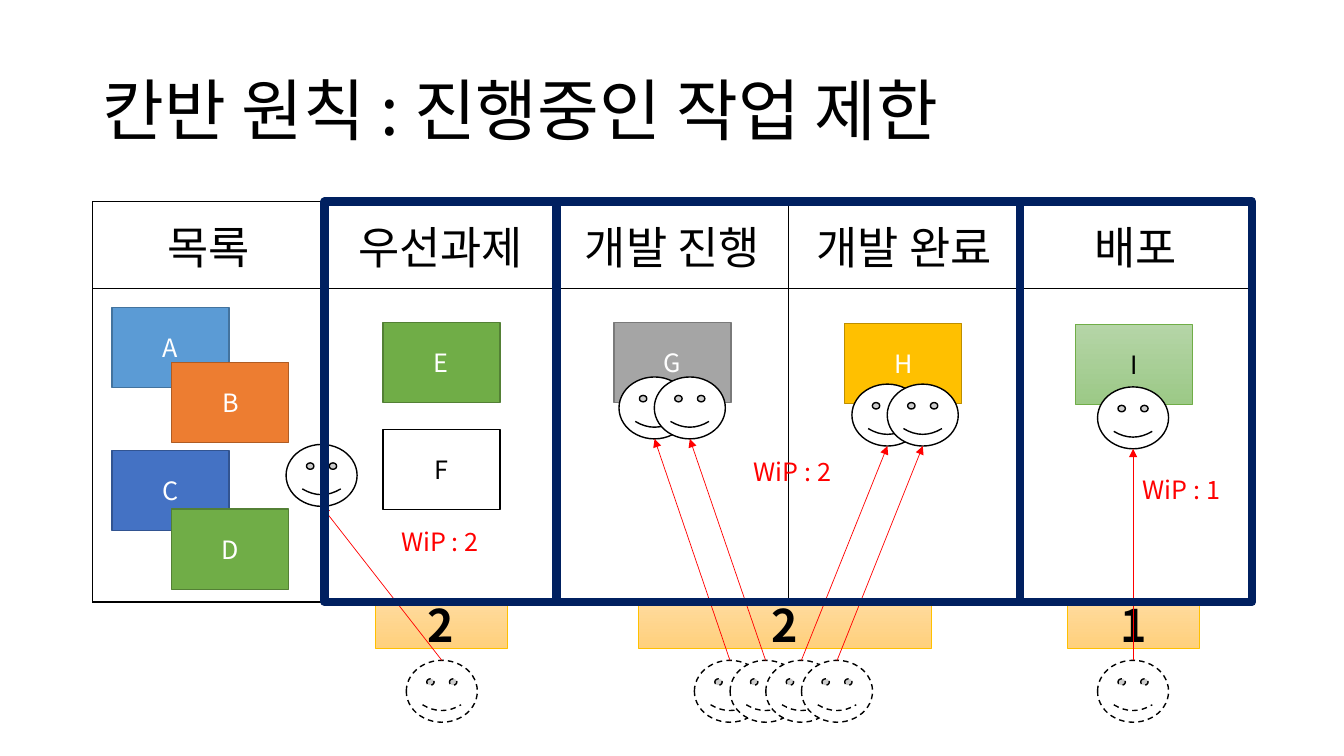
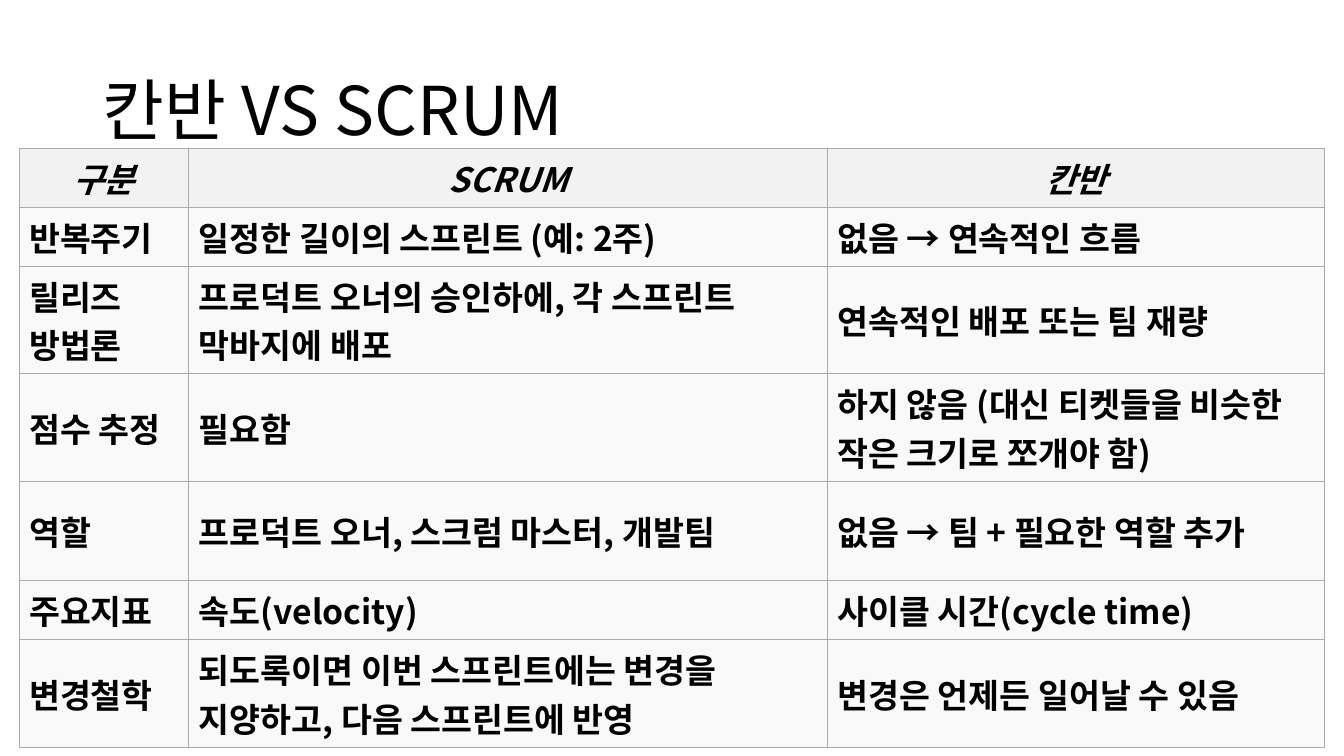
from lxml import etree
from pptx import Presentation
from pptx import util as u
from pptx.dml.color import RGBColor
from pptx.enum import dml, shapes, text
from pptx.oxml.ns import qn

FONT = "Noto Sans CJK KR"
BLACK, WHITE, RED, NAVY = "000000", "FFFFFF", "FF0000", "002060"
LEFT, WIDE, TOP = 2.34, 29.21, 5.08
COL, HEAD, BODY = WIDE / 5, 2.19, 7.9
CARD_W, CARD_H = 2.95, 2.02
FACE_W, FACE_H = 1.79, 1.56
MID, CENTER = text.MSO_ANCHOR.MIDDLE, text.PP_ALIGN.CENTER


def rgb(code):
    return RGBColor.from_string(code)


def style(para, size, color=BLACK, align=None, bold=False, slant=False):
    """Format a paragraph, giving Latin and Korean letters the same font."""
    para.alignment = align
    font = para.font
    font.size, font.name, font.bold, font.italic = u.Pt(size), FONT, bold, slant
    font.color.rgb = rgb(color)
    props = para._p.pPr.find(qn("a:defRPr"))
    etree.SubElement(props, qn("a:ea"), typeface=FONT)


prs = Presentation()
prs.slide_width, prs.slide_height = u.Cm(33.87), u.Cm(19.05)

# Slides and titles
slides = []
for name in ("칸반 원칙 : 진행중인 작업 제한", "칸반 VS SCRUM"):
    slide = prs.slides.add_slide(prs.slide_layouts[5])
    title = slide.shapes.title
    title.left, title.top = u.Cm(LEFT), u.Cm(1.02)
    title.width, title.height = u.Cm(WIDE), u.Cm(3.68)
    frame = title.text_frame
    frame.text = name
    frame.auto_size = text.MSO_AUTO_SIZE.NONE
    frame.vertical_anchor = MID
    frame.paragraphs[0].line_spacing = 0.9
    style(frame.paragraphs[0], 48, align=text.PP_ALIGN.LEFT)
    slides.append(slide)
board, versus = slides

# Tables: the kanban board and the comparison
stages = ["목록", "우선과제", "개발 진행", "개발 완료", "배포"]
terms = [
    ["구분", "SCRUM", "칸반"],
    ["반복주기", "일정한 길이의 스프린트 (예: 2주)", "없음 → 연속적인 흐름"],
    ["릴리즈\n방법론", "프로덕트 오너의 승인하에, 각 스프린트 막바지에 배포",
     "연속적인 배포 또는 팀 재량"],
    ["점수 추정", "필요함", "하지 않음 (대신 티켓들을 비슷한 작은 크기로 쪼개야 함)"],
    ["역할", "프로덕트 오너, 스크럼 마스터, 개발팀", "없음 → 팀 + 필요한 역할 추가"],
    ["주요지표", "속도(velocity)", "사이클 시간(cycle time)"],
    ["변경철학", "되도록이면 이번 스프린트에는 변경을 지양하고, 다음 스프린트에 반영",
     "변경은 언제든 일어날 수 있음"],
]
tables = [
    # slide, left, top, columns, rows, cells, size, border, points, fills, strong
    (board, LEFT, TOP, [COL] * 5, [HEAD, BODY], [stages, [""] * 5],
     32, BLACK, 1, (None, None), False),
    (versus, 0.48, 3.74, [4.28, 16.09, 12.53],
     [1.42, 1.42, 2.51, 2.51, 2.51, 1.42, 2.51], terms,
     24, "AAAAAA", 0.75, ("F2F2F2", "F9F9F9"), True),
]
for slide, x, y, cols, rows, cells, size, edge, pts, fills, strong in tables:
    table = slide.shapes.add_table(
        len(rows), len(cols), u.Cm(x), u.Cm(y),
        u.Cm(sum(cols)), u.Cm(sum(rows))).table
    table.first_row = table.horz_banding = False
    for col, width in zip(table.columns, cols):
        col.width = u.Cm(width)
    for r, height in enumerate(rows):
        table.rows[r].height = u.Cm(height)
        top = r == 0
        for c, words in enumerate(cells[r]):
            cell = table.cell(r, c)
            cell.vertical_anchor = MID
            props = cell._tc.get_or_add_tcPr()
            for side in ("lnL", "lnR", "lnT", "lnB"):
                line = etree.SubElement(props, qn(f"a:{side}"), w=str(u.Pt(pts)))
                fill = etree.SubElement(line, qn("a:solidFill"))
                etree.SubElement(fill, qn("a:srgbClr"), val=edge)
            shade = fills[0] if top else fills[1]
            if shade:
                cell.fill.solid()
                cell.fill.fore_color.rgb = rgb(shade)
            else:
                cell.fill.background()
            if words:
                cell.text = words
                for para in cell.text_frame.paragraphs:
                    style(para, size, align=CENTER if top else None,
                          bold=strong, slant=strong and top)


def draw(kind, x, y, w, h, fill, edge, pts, words="", size=18, color=WHITE, bold=False):
    """Add a shape to the board; a pair of fill colours makes a gradient."""
    shape = board.shapes.add_shape(kind, u.Cm(x), u.Cm(y), u.Cm(w), u.Cm(h))
    shape.shadow.inherit = False
    if fill is None:
        shape.fill.background()
    elif isinstance(fill, tuple):
        shape.fill.gradient()
        shape.fill.gradient_angle = 270
        for stop, code in zip(shape.fill.gradient_stops, fill):
            stop.color.rgb = rgb(code)
    else:
        shape.fill.solid()
        shape.fill.fore_color.rgb = rgb(fill)
    shape.line.color.rgb = rgb(edge)
    shape.line.width = u.Pt(pts)
    if words:
        shape.text_frame.text = words
        shape.text_frame.vertical_anchor = MID
        style(shape.text_frame.paragraphs[0], size, color, CENTER, bold)
    return shape


RECT, FACE = shapes.MSO_SHAPE.RECTANGLE, shapes.MSO_SHAPE.SMILEY_FACE

# Task cards
for name, x, y, fill, edge, pts, color in [
    ("A", 2.82, 7.75, "5B9BD5", "43739E", 1, WHITE),
    ("B", 4.33, 9.13, "ED7D31", "AF5C24", 1, WHITE),
    ("C", 2.82, 11.35, "4472C4", "325491", 1, WHITE),
    ("D", 4.33, 12.83, "70AD47", "538035", 1, WHITE),
    ("E", 9.65, 8.13, "70AD47", "538035", 1, WHITE),
    ("F", 9.65, 10.82, WHITE, BLACK, 1, BLACK),
    ("G", 15.47, 8.13, "A5A5A5", "7A7A7A", 1, WHITE),
    ("H", 21.29, 8.15, "FFC000", "BD8E00", 1, WHITE),
    ("I", 27.1, 8.17, ("B5D5A7", "9CC987"), "70AD47", 0.5, BLACK),
]:
    draw(RECT, x, y, CARD_W, CARD_H, fill, edge, pts, name, color=color)

# Limits under the board
for count, x, width in [("2", 9.45, 3.33), ("2", 16.08, 7.39), ("1", 26.9, 3.33)]:
    draw(RECT, x, 15.15, width, 1.19, ("FFDB9E", "FFD07C"), "FFC000", 0.5,
         count, 32, BLACK, True)

# Workers: waiting place, then working place
START = 16.64
moves = [
    (17.5, 15.6, 9.5), (18.4, 16.49, 9.5),
    (19.3, 21.47, 9.68), (20.2, 22.36, 9.68),
    (10.24, 7.21, 11.2), (27.66, 27.66, 9.75),
]
for x, _, _ in moves:
    face = draw(FACE, x, START, FACE_W, FACE_H, WHITE, BLACK, 1)
    face.line.dash_style = dml.MSO_LINE.DASH
for _, x, y in moves:
    draw(FACE, x, y, FACE_W, FACE_H, WHITE, BLACK, 1)
for x, goal, y in moves:
    arrow = board.shapes.add_connector(
        shapes.MSO_CONNECTOR.STRAIGHT, u.Cm(x + FACE_W / 2), u.Cm(START),
        u.Cm(goal + FACE_W / 2), u.Cm(y + FACE_H))
    arrow.line.color.rgb = rgb(RED)
    arrow.line.width = u.Pt(0.5)
    etree.SubElement(arrow.line._get_or_add_ln(), qn("a:tailEnd"), type="triangle")
    etree.SubElement(arrow._element.spPr, qn("a:effectLst"))

# Frames around the limited stages
for first, span in [(2, 2), (4, 1), (1, 1)]:
    draw(RECT, LEFT + first * COL, TOP, span * COL, HEAD + BODY, None, NAVY, 6)

# Limit labels
for count, x, y in [(2, 18.75, 11.38), (2, 9.86, 13.13), (1, 28.55, 11.84)]:
    box = board.shapes.add_textbox(u.Cm(x), u.Cm(y), u.Cm(2.59), u.Cm(1.02))
    box.text_frame.word_wrap = False
    box.text_frame.text = f"WiP : {count}"
    style(box.text_frame.paragraphs[0], 18, RED)

prs.save("out.pptx")
